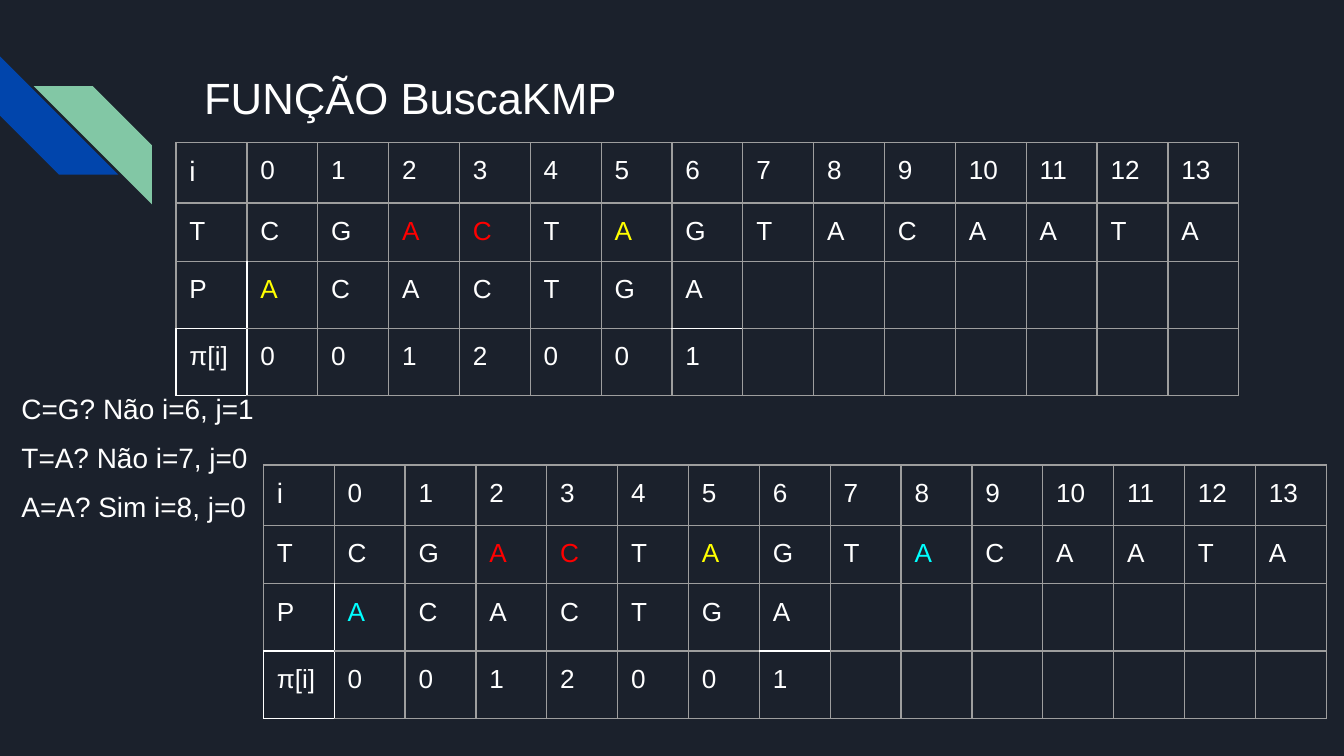
from pptx import Presentation
from pptx.dml.color import RGBColor
from pptx.enum.shapes import MSO_SHAPE as Shape
from pptx.oxml.ns import qn
from pptx.util import Inches, Pt
from lxml.etree import SubElement

# Content
TITLE = "FUNÇÃO BuscaKMP"
STEPS = ["C=G? Não i=6, j=1", "T=A? Não i=7, j=0", "A=A? Sim i=8, j=0"]
ROWS = [
    ["i", *map(str, range(14))],
    ["T", *"CGACTAGTACAATA"],
    ["P", *"ACACTGA"],
    ["π[i]", *"0012001"],
]
FONT = "Arial"
WHITE, GREY, RED, YELLOW, CYAN = "FFFFFF", "9E9E9E", "FF0000", "FFFF00", "00FFFF"
# Highlighted letters by (row, column)
MATCHED = {(1, 3): RED, (1, 4): RED, (1, 6): YELLOW}
TABLES = [
    {"left": 1.31, "top": 1.06, "marks": {**MATCHED, (2, 1): YELLOW}},
    {"left": 1.96, "top": 3.46, "marks": {**MATCHED, (1, 9): CYAN, (2, 1): CYAN}},
]
# Cell sides drawn in white, by (row, column)
WHITE_SIDES = {(2, 0): "RB", (2, 1): "L", (2, 7): "B",
               (3, 0): "LRTB", (3, 1): "L", (3, 7): "T"}
STRIPES = [
    {"left": 0, "top": 0.42, "color": "0145AC", "turn": ("rot", "16200000")},
    {"left": 0.25, "top": 0.64, "color": "82C7A5", "turn": ("flipH", "1")},
]

# Layout, in inches
SLIDE_WIDTH = 10
SLIDE_HEIGHT = SLIDE_WIDTH * 9 / 16
COLUMNS, TABLE_WIDTH, ROW_HEIGHT = 15, 7.91, 0.42
STRIPE_SIZE = 0.88
STEP_TOP, STEP_SPAN = 2.81, 0.73


def rgb(value):
    return RGBColor.from_string(value)


def write(frame, text, size, color=WHITE):
    run = frame.paragraphs[0].add_run()
    run.text = text
    for name, value in {"size": Pt(size), "name": FONT}.items():
        setattr(run.font, name, value)
    run.font.color.rgb = rgb(color)


def end_paragraph(frame, size):
    """Give the paragraph end the text font, so that it sets the row height."""
    end = SubElement(frame.paragraphs[0]._p, qn("a:endParaRPr"), sz=str(size * 100))
    SubElement(end, qn("a:latin"), typeface=FONT)


def set_margins(target, left=0.1):
    margins = {"left": left, "top": 0.1, "right": 0.1, "bottom": 0.1}
    for side, value in margins.items():
        setattr(target, f"margin_{side}", Inches(value))


def add_text(slide, box, text, size, left=0.1):
    frame = slide.shapes.add_textbox(*map(Inches, box)).text_frame
    frame.word_wrap = True
    set_margins(frame, left)
    write(frame, text, size)


def add_stripe(slide, left, top, color, turn):
    stripe = slide.shapes.add_shape(
        Shape.DIAGONAL_STRIPE, *map(Inches, (left, top, STRIPE_SIZE, STRIPE_SIZE)))
    stripe.shadow.inherit = False
    stripe.fill.solid()
    stripe.fill.fore_color.rgb = rgb(color)
    stripe.line.fill.background()
    stripe._element.spPr.xfrm.set(*turn)


def set_borders(cell, white_sides):
    properties = cell._tc.get_or_add_tcPr()
    for side in "LRTB":
        line = SubElement(properties, qn(f"a:ln{side}"), w=str(Pt(0.75)))
        fill = SubElement(line, qn("a:solidFill"))
        SubElement(fill, qn("a:srgbClr"), val=WHITE if side in white_sides else GREY)


def add_trace(slide, left, top, marks):
    size = (TABLE_WIDTH, len(ROWS) * ROW_HEIGHT)
    table = slide.shapes.add_table(
        len(ROWS), COLUMNS, *map(Inches, (left, top, *size))).table
    table.first_row = table.horz_banding = False
    for r, row in enumerate(ROWS):
        for c in range(COLUMNS):
            cell = table.cell(r, c)
            set_margins(cell)
            set_borders(cell, WHITE_SIDES.get((r, c), ""))
            cell.fill.background()
            text_size = 18
            if c < len(row):
                text_size = 15 if (r, c) == (0, 0) else 14
                write(cell.text_frame, row[c], text_size, marks.get((r, c), WHITE))
            end_paragraph(cell.text_frame, text_size)


def main():
    deck = Presentation()
    deck.slide_width, deck.slide_height = Inches(SLIDE_WIDTH), Inches(SLIDE_HEIGHT)
    slide = deck.slides.add_slide(deck.slide_layouts[6])
    slide.background.fill.solid()
    slide.background.fill.fore_color.rgb = rgb("1B212C")

    # Corner decoration
    for stripe in STRIPES:
        add_stripe(slide, **stripe)

    # Title and comparison steps
    add_text(slide, (1.42, 0.43, 7.7, 1), TITLE, 23.4)
    for i, step in enumerate(STEPS):
        step_top = STEP_TOP + i * STEP_SPAN / (len(STEPS) - 1)
        add_text(slide, (0, step_top, 8.23, 0.47), step, 15, left=0.16)

    # Search traces
    for trace in TABLES:
        add_trace(slide, **trace)

    deck.save("out.pptx")


if __name__ == "__main__":
    main()
